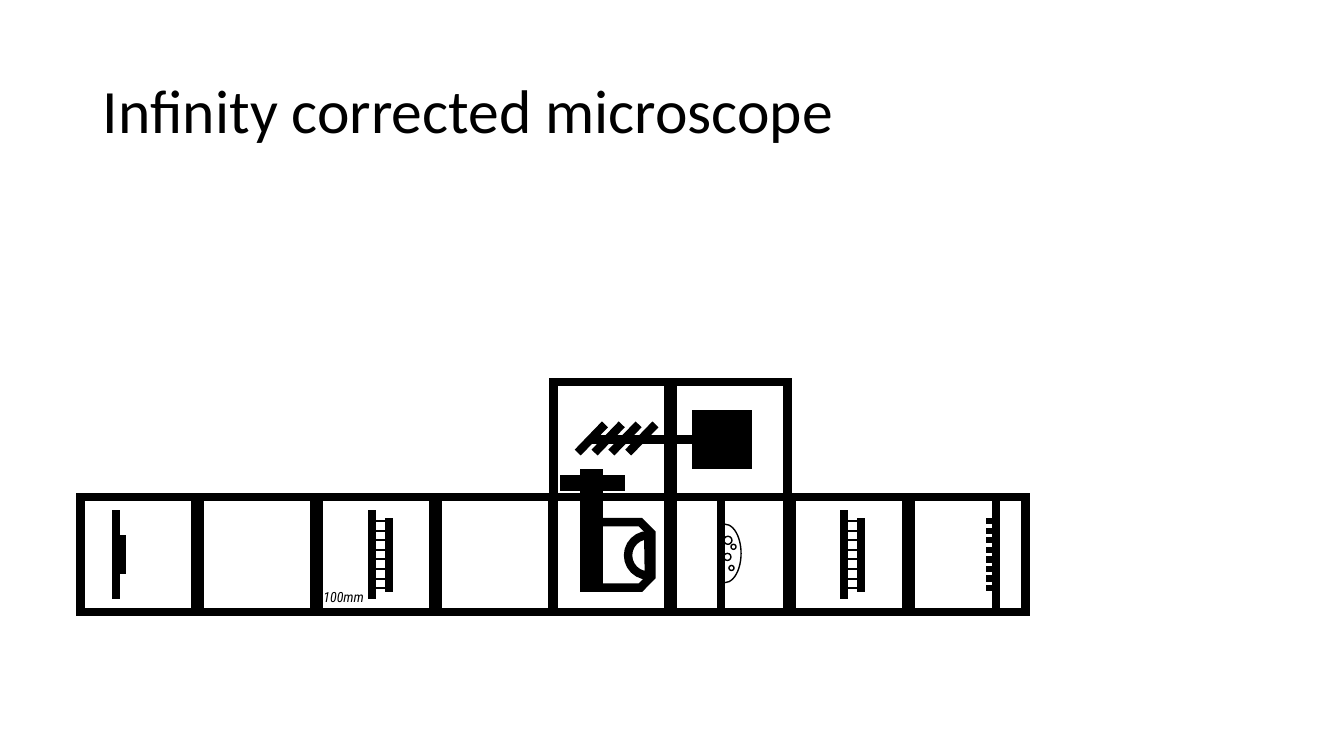
from lxml import etree
from pptx import Presentation
from pptx.dml.color import RGBColor
from pptx.enum.shapes import MSO_CONNECTOR, MSO_SHAPE
from pptx.enum.text import MSO_ANCHOR, MSO_AUTO_SIZE, PP_ALIGN
from pptx.oxml.ns import qn
from pptx.util import Inches, Pt

BLACK = RGBColor(0, 0, 0)
HEAVY, MEDIUM, THIN, HAIR = 6, 4.5, 1.5, 1   # line widths in points
SQUARE, PITCH = 1.14, 1.18                   # square size and spacing
LEFT_START, RIGHT_START = 0.8, 5.49          # first square of each run of four
ROW_TOP, UPPER_TOP = 4.93, 3.79
RUNG_TOP, RUNG_GAP, RUNGS = 5.17, 0.095, 8


class MicroscopeSlide:
    """Holds the drawing style, the slide and the group being filled."""

    def __init__(self, prs):
        self.slide = prs.slides.add_slide(prs.slide_layouts[5])
        self.target = self.slide.shapes

    def group(self):
        self.target = self.slide.shapes.add_group_shape().shapes

    def ungroup(self):
        self.target = self.slide.shapes

    def style_text(self, frame, text, size, font, italic=False):
        frame.text = text
        paragraph = frame.paragraphs[0]
        paragraph.alignment = PP_ALIGN.LEFT
        face = paragraph.runs[0].font
        face.size, face.name, face.italic = Pt(size), font, italic
        face.color.rgb = BLACK
        return paragraph

    def title(self, text, x, y, w, h):
        title = self.slide.shapes.title
        title.left, title.top, title.width, title.height = map(Inches, (x, y, w, h))
        title.text_frame.auto_size = MSO_AUTO_SIZE.NONE
        title.text_frame.vertical_anchor = MSO_ANCHOR.MIDDLE
        self.style_text(title.text_frame, text, 44, "Calibri").line_spacing = 0.9

    def label(self, text, x, y, w, h):
        frame = self.target.add_textbox(*map(Inches, (x, y, w, h))).text_frame
        frame.word_wrap = False
        frame.auto_size = MSO_AUTO_SIZE.SHAPE_TO_FIT_TEXT
        self.style_text(frame, text, 10, "Roboto Condensed", italic=True)

    def stroke(self, item, width):
        item.line.color.rgb = BLACK
        item.line.width = Pt(width)
        outline = item.line._get_or_add_ln()
        etree.SubElement(outline, qn("a:miter"), lim="800000")

    def shape(self, kind, x, y, w, h, width=HEAVY, filled=False, rotation=0, angles=()):
        shape = self.target.add_shape(kind, *map(Inches, (x, y, w, h)))
        shape.rotation = rotation
        for index, angle in enumerate(angles):
            shape.adjustments[index] = angle
        if filled:
            shape.fill.solid()
            shape.fill.fore_color.rgb = BLACK
        else:
            shape.fill.background()
        self.stroke(shape, width)
        shape.shadow.inherit = False

    def block(self, x, y, w, h):
        self.shape(MSO_SHAPE.RECTANGLE, x, y, w, h, HAIR, filled=True)

    def line(self, x1, y1, x2, y2, width=HEAVY):
        line = self.target.add_connector(
            MSO_CONNECTOR.STRAIGHT, *map(Inches, (x1, y1, x2, y2)))
        self.stroke(line, width)
        etree.SubElement(line._element.spPr, qn("a:effectLst"))

    def square(self, column, top=ROW_TOP):
        run, place = divmod(column, 4)
        x = (LEFT_START, RIGHT_START)[run] + place * PITCH
        self.shape(MSO_SHAPE.RECTANGLE, x, top, SQUARE, SQUARE)

    def rungs(self, x1, x2, width):
        for row in range(RUNGS):
            y = RUNG_TOP + row * RUNG_GAP
            self.line(x1, y, x2, y, width)

    def ladder(self, column, x):
        self.group()
        self.square(column)
        self.line(x, 5.94, x, 5.06)
        self.rungs(x + 0.02, x + 0.17, THIN)
        self.line(x + 0.17, 5.87, x + 0.17, 5.14)
        self.ungroup()


prs = Presentation()
prs.slide_width, prs.slide_height = Inches(13.33), Inches(7.5)
scope = MicroscopeSlide(prs)

# Title
scope.title("Infinity corrected microscope", 0.92, 0.4, 11.5, 1.45)

# Upright bar and snipped rectangle
scope.block(5.76, 4.66, 0.21, 1.21)
scope.shape(MSO_SHAPE.SNIP_2_SAME_RECTANGLE, 5.81, 5.18, 0.65, 0.65, rotation=90)

# Two upper squares with blocks and slanted lines
scope.group()
for column in (4, 5):
    scope.square(column, UPPER_TOP)
scope.block(6.87, 4.07, 0.58, 0.58)
scope.block(5.56, 4.72, 0.63, 0.14)
for slant in range(4):
    x = 5.73 + slant * 0.167
    scope.line(x + 0.27, 4.21, x, 4.49)
scope.line(5.85, 4.36, 7.04, 4.36)
scope.ungroup()

# Chord and the two squares below
scope.shape(MSO_SHAPE.CHORD, 6.23, 5.31, 0.4, 0.4, angles=(52.86, 162))
for column in (5, 4):
    scope.square(column)

# Vertical line, arc and small circles
scope.group()
scope.line(7.15, 6.06, 7.15, 4.96)
scope.shape(MSO_SHAPE.ARC, 7.03, 5.2, 0.32, 0.58, HAIR, angles=(162, 58.81))
for x, y, size in ((7.18, 5.32, 0.08), (7.25, 5.4, 0.05),
                   (7.18, 5.49, 0.07), (7.23, 5.61, 0.05)):
    scope.shape(MSO_SHAPE.OVAL, x, y, size, size, HAIR)
scope.ungroup()

# Empty squares and the left ladder
scope.square(3)
scope.ladder(2, 3.69)
scope.square(1)

# Leftmost square with two vertical lines
scope.group()
scope.square(0)
scope.line(1.15, 5.94, 1.15, 5.06)
scope.line(1.21, 5.69, 1.21, 5.31)
scope.ungroup()

# Length label
scope.label("100mm", 3.11, 5.79, 0.61, 0.27)

# Right ladder
scope.ladder(6, 8.37)

# Rightmost square with a vertical line and short rungs
scope.group()
scope.square(7)
scope.line(9.88, 4.93, 9.88, 6.07)
scope.rungs(9.87, 9.78, MEDIUM)
scope.ungroup()

prs.save("out.pptx")
